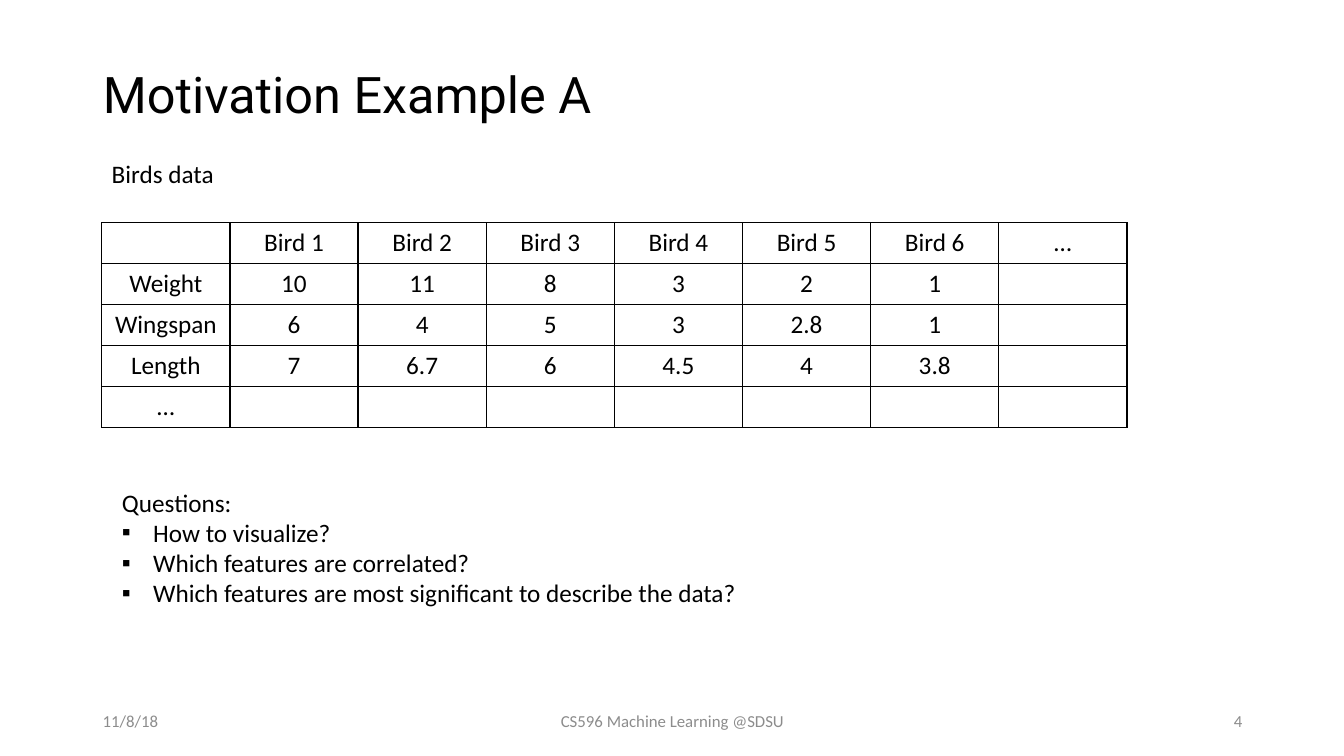
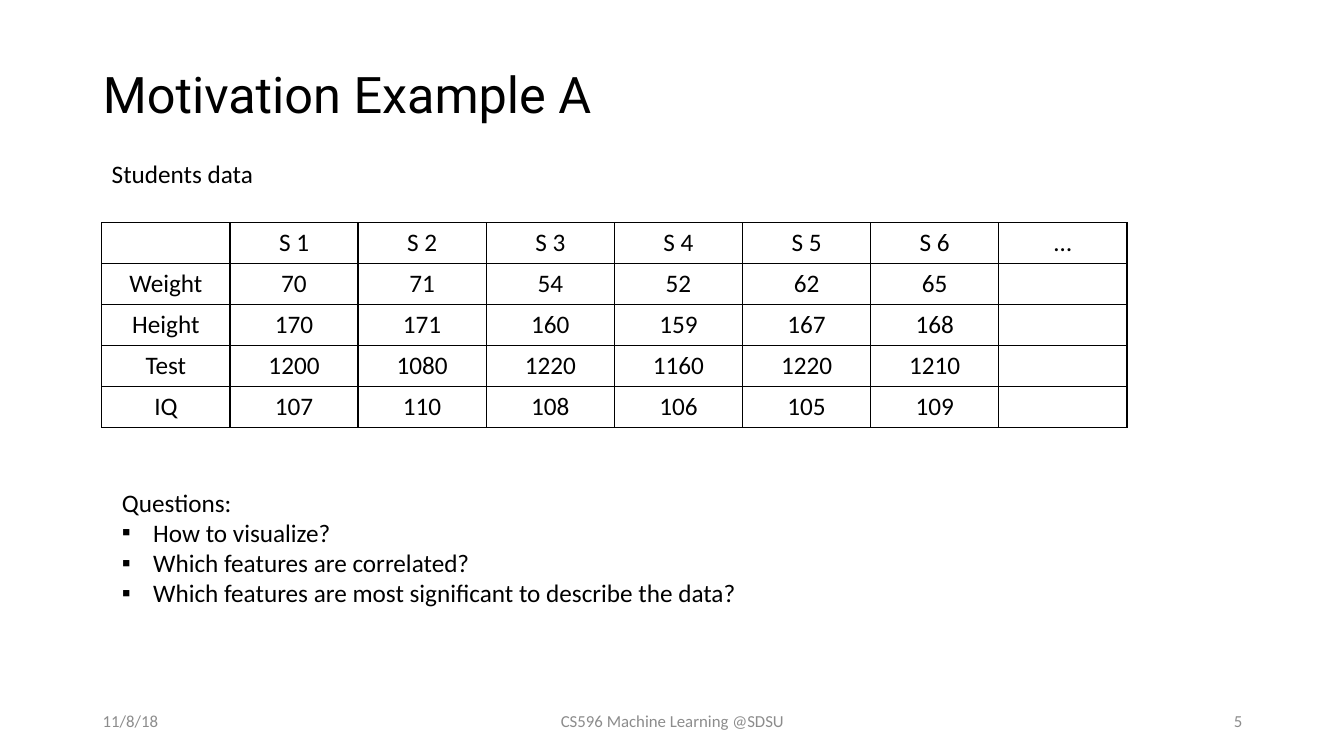
from lxml.etree import SubElement as Sub
from pptx import Presentation
from pptx.dml.color import RGBColor
from pptx.enum.text import MSO_ANCHOR as Anchor, MSO_AUTO_SIZE as Auto, PP_ALIGN as Align
from pptx.oxml.ns import qn
from pptx.util import Inches, Pt

BLACK = RGBColor(0x00, 0x00, 0x00)
GRAY = RGBColor(0x8C, 0x8C, 0x8C)
ASKS = [
    "How to visualize?",
    "Which features are correlated?",
    "Which features are most significant to describe the data?",
]
BIRDS = [
    ["", "Bird 1", "Bird 2", "Bird 3", "Bird 4", "Bird 5", "Bird 6", "…"],
    ["Weight", "10", "11", "8", "3", "2", "1", ""],
    ["Wingspan", "6", "4", "5", "3", "2.8", "1", ""],
    ["Length", "7", "6.7", "6", "4.5", "4", "3.8", ""],
    ["…", "", "", "", "", "", "", ""],
]
PUPILS = [
    ["", "S 1", "S 2", "S 3", "S 4", "S 5", "S 6", "…"],
    ["Weight", "70", "71", "54", "52", "62", "65", ""],
    ["Height", "170", "171", "160", "159", "167", "168", ""],
    ["Test", "1200", "1080", "1220", "1160", "1220", "1210", ""],
    ["IQ", "107", "110", "108", "106", "105", "109", ""],
]


class Deck:
    """Holds the shared style and the current slide."""

    def __init__(self):
        self.prs = Presentation()
        self.prs.slide_width, self.prs.slide_height = Inches(13.33), Inches(7.5)

    def style(self, para, size=18, color=BLACK, face="Calibri", align=Align.LEFT):
        para.alignment = align
        font = para.font
        font.size, font.name = Pt(size), face
        font.color.rgb = color

    def place(self, shape, left, top, width, height):
        shape.left, shape.top = Inches(left), Inches(top)
        shape.width, shape.height = Inches(width), Inches(height)

    def start(self, title, number):
        self.slide = self.prs.slides.add_slide(self.prs.slide_layouts[1])
        head = self.slide.shapes.title
        self.place(head, 0.92, 0.4, 11.5, 1.12)
        frame = head.text_frame
        frame.text, frame.vertical_anchor = title, Anchor.MIDDLE
        frame.auto_size = Auto.NONE
        para = frame.paragraphs[0]
        para.line_spacing = 0.9
        self.style(para, 36, face="Roboto")
        self.foot("11/8/18", 0.92, 3, Align.LEFT)
        self.foot("CS596 Machine Learning @SDSU", 4.42, 4.5, Align.CENTER)
        self.foot(str(number), 9.42, 3, Align.RIGHT)

    def text(self, words, left, top, width, wrap=False, **look):
        box = self.slide.shapes.add_textbox(
            Inches(left), Inches(top), Inches(width), Inches(0.4))
        frame = box.text_frame
        frame.text, frame.word_wrap = words, wrap
        self.style(frame.paragraphs[0], **look)
        return frame

    def foot(self, words, left, width, align):
        frame = self.text(words, left, 6.95, width, True, size=12, color=GRAY, align=align)
        frame.vertical_anchor = Anchor.MIDDLE

    def edge(self, cell):
        props = cell._tc.get_or_add_tcPr()
        for side in ("a:lnL", "a:lnR", "a:lnT", "a:lnB"):
            line = Sub(props, qn(side), w=str(Pt(1)))
            fill = Sub(line, qn("a:solidFill"))
            Sub(fill, qn("a:srgbClr"), val=str(BLACK))

    def table(self, rows):
        grid = self.slide.shapes.add_table(
            len(rows), len(rows[0]), Inches(1.01), Inches(2.21),
            Inches(10.17), Inches(2.03)).table
        grid.first_row = grid.horz_banding = False
        for cell, words in zip(grid.iter_cells(), sum(rows, [])):
            self.edge(cell)
            cell.fill.background()
            cell.text, cell.vertical_anchor = words, Anchor.MIDDLE
            self.style(cell.text_frame.paragraphs[0], align=Align.CENTER)

    def points(self, lead, items):
        body = self.slide.placeholders[1]
        self.place(body, 1.11, 4.78, 6.37, 1.31)
        frame = body.text_frame
        frame.text = "\n".join([lead, *items])
        frame.auto_size, frame.word_wrap = Auto.NONE, False
        for rank, para in enumerate(frame.paragraphs):
            para.space_before = Pt(0)
            props = para._p.get_or_add_pPr()
            dent = Inches(0.31) if rank else 0
            props.set("marL", str(dent))
            props.set("indent", str(-dent))
            if rank:
                Sub(props, qn("a:buChar"), char="▪")
            else:
                Sub(props, qn("a:buNone"))
            self.style(para)


def main():
    deck = Deck()
    topics = [("Birds data", 1.22, BIRDS), ("Students data", 1.62, PUPILS)]
    for number, (label, width, rows) in enumerate(topics, 4):
        deck.start("Motivation Example A", number)
        deck.text(label, 1.01, 1.52, width)
        deck.table(rows)
        deck.points("Questions:", ASKS)
    deck.prs.save("out.pptx")


if __name__ == "__main__":
    main()
